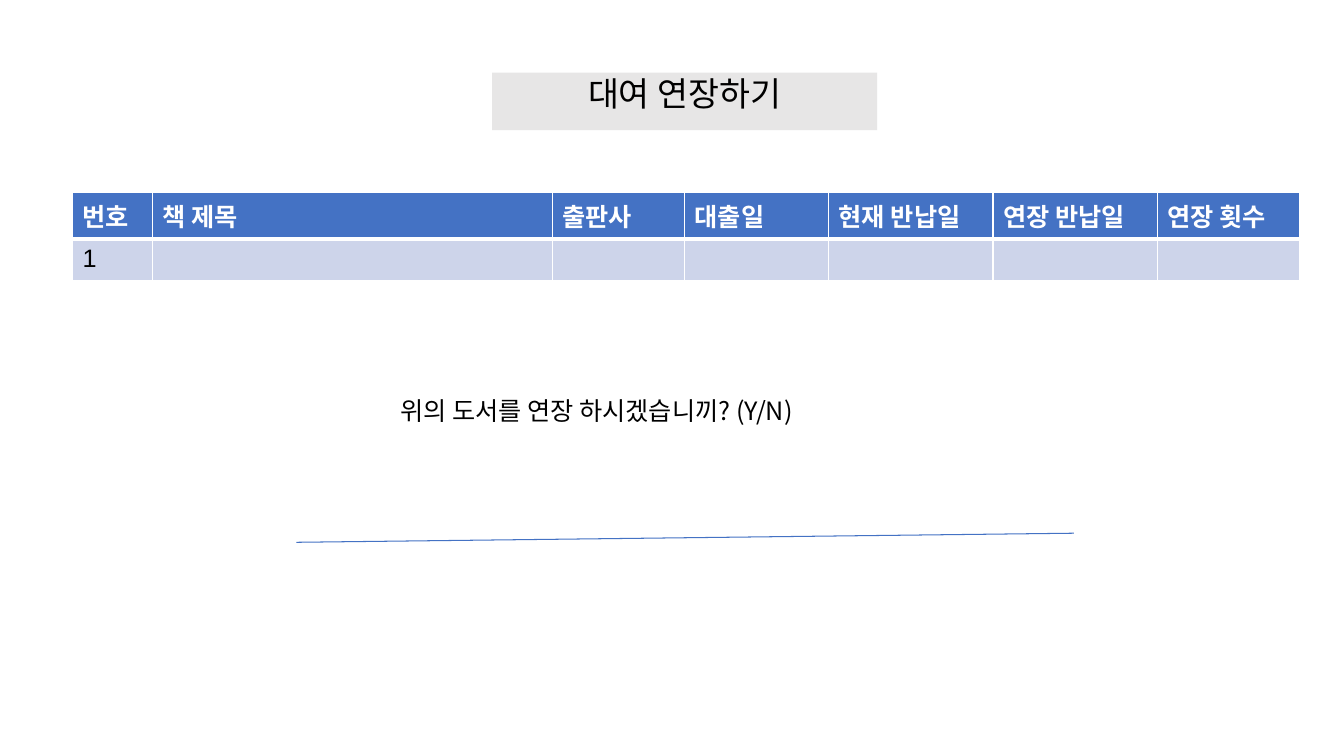
from pptx import Presentation
from pptx.dml.color import RGBColor
from pptx.enum import shapes, text
from pptx.oxml import parse_xml
from pptx.oxml.ns import nsdecls, qn
from pptx.util import Inches, Pt

COLORS = {
    "title_fill": "E7E6E6",
    "blue": "4472C4",
    "row_fill": "CDD4EA",
    "white": "FFFFFF",
    "black": "000000",
}
KOREAN_FONT = "Noto Sans CJK KR"
HEADERS = ["번호", "책 제목", "출판사", "대출일", "현재 반납일", "연장 반납일", "연장 횟수"]
LOAN_ROW = ["1", "", "", "", "", "", ""]
COLUMN_WIDTHS = [0.79, 3.97, 1.31, 1.43, 1.63, 1.63, 1.41]
ROW_HEIGHTS = [0.3, 0.41]


def color(name):
    return RGBColor.from_string(COLORS[name])


def write(frame, words, size=18, font=KOREAN_FONT, ink="black", bold=False,
          align=text.PP_ALIGN.LEFT, line_spacing=1.0):
    """Fill a text frame with one formatted paragraph."""
    para = frame.paragraphs[0]
    para.alignment = align
    para.line_spacing = line_spacing
    para.space_before = Pt(0)
    span = para.add_run()
    span.text = words
    span.font.size = Pt(size)
    span.font.name = font
    span.font.bold = bold
    span.font.color.rgb = color(ink)
    span.font._element.append(
        parse_xml(f'<a:ea {nsdecls("a")} typeface="{KOREAN_FONT}"/>'))


def add_title(page, words):
    box = page.shapes.title
    box.left, box.top = Inches(4.88), Inches(0.72)
    box.width, box.height = Inches(3.82), Inches(0.57)
    box.fill.solid()
    box.fill.fore_color.rgb = color("title_fill")
    frame = box.text_frame
    frame.auto_size = text.MSO_AUTO_SIZE.NONE
    frame.vertical_anchor = text.MSO_ANCHOR.TOP
    write(frame, words, size=24, align=text.PP_ALIGN.CENTER, line_spacing=0.9)


def set_borders(cell, bottom=1, top=1):
    """Draw white cell borders, with widths in points."""
    properties = cell._tc.get_or_add_tcPr()
    widths = {"lnL": 1, "lnR": 1, "lnT": top, "lnB": bottom}
    for index, (side, width) in enumerate(widths.items()):
        properties.insert(index, parse_xml(
            f'<a:{side} {nsdecls("a")} w="{Pt(width)}"><a:solidFill>'
            f'<a:srgbClr val="{COLORS["white"]}"/></a:solidFill></a:{side}>'))


def add_loan_table(page):
    rows = [HEADERS, LOAN_ROW]
    table = page.shapes.add_table(
        len(rows), len(HEADERS), Inches(0.72), Inches(1.91),
        Inches(sum(COLUMN_WIDTHS)), Inches(sum(ROW_HEIGHTS))).table
    for column, width in zip(table.columns, COLUMN_WIDTHS):
        column.width = Inches(width)
    for row, height in zip(table.rows, ROW_HEIGHTS):
        row.height = Inches(height)
    for row_index, labels in enumerate(rows):
        header = row_index == 0
        for column_index, label in enumerate(labels):
            cell = table.cell(row_index, column_index)
            cell.fill.solid()
            cell.fill.fore_color.rgb = color("blue" if header else "row_fill")
            set_borders(cell, bottom=3 if header else 1, top=1 if header else 3)
            if label:
                write(cell.text_frame, label, font="Arial", bold=header,
                      ink="white" if header else "black")


def add_text(page, words, left, top, width, height):
    box = page.shapes.add_textbox(
        Inches(left), Inches(top), Inches(width), Inches(height))
    box.text_frame.word_wrap = True
    box.text_frame.auto_size = text.MSO_AUTO_SIZE.SHAPE_TO_FIT_TEXT
    write(box.text_frame, words)


def add_line(page, start, end):
    line = page.shapes.add_connector(
        shapes.MSO_CONNECTOR.STRAIGHT, *map(Inches, start + end))
    line.line.color.rgb = color("blue")
    line.line.width = Pt(0.75)
    line._element.spPr.append(
        line._element.makeelement(qn("a:effectLst"), {}))


def main():
    deck = Presentation()
    deck.slide_width, deck.slide_height = Inches(13.33), Inches(7.5)
    page = deck.slides.add_slide(deck.slide_layouts[5])

    # Heading and answer line
    add_title(page, "대여 연장하기")
    add_line(page, (2.94, 5.38), (10.65, 5.29))

    # Loan to extend and the question about it
    add_loan_table(page)
    add_text(page, "위의 도서를 연장 하시겠습니끼? (Y/N)", 3.87, 3.87, 5.85, 0.4)

    deck.save("out.pptx")


if __name__ == "__main__":
    main()
